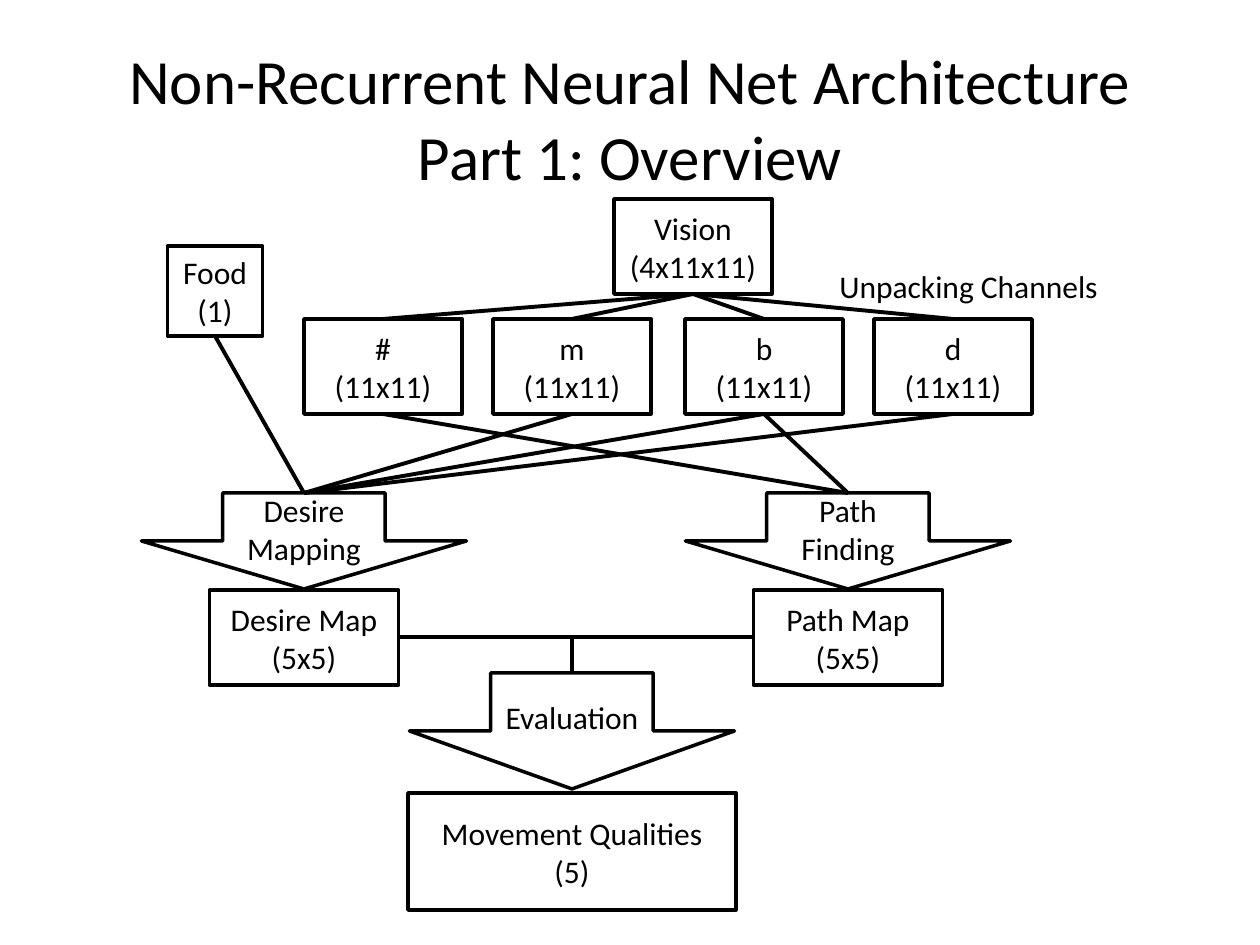
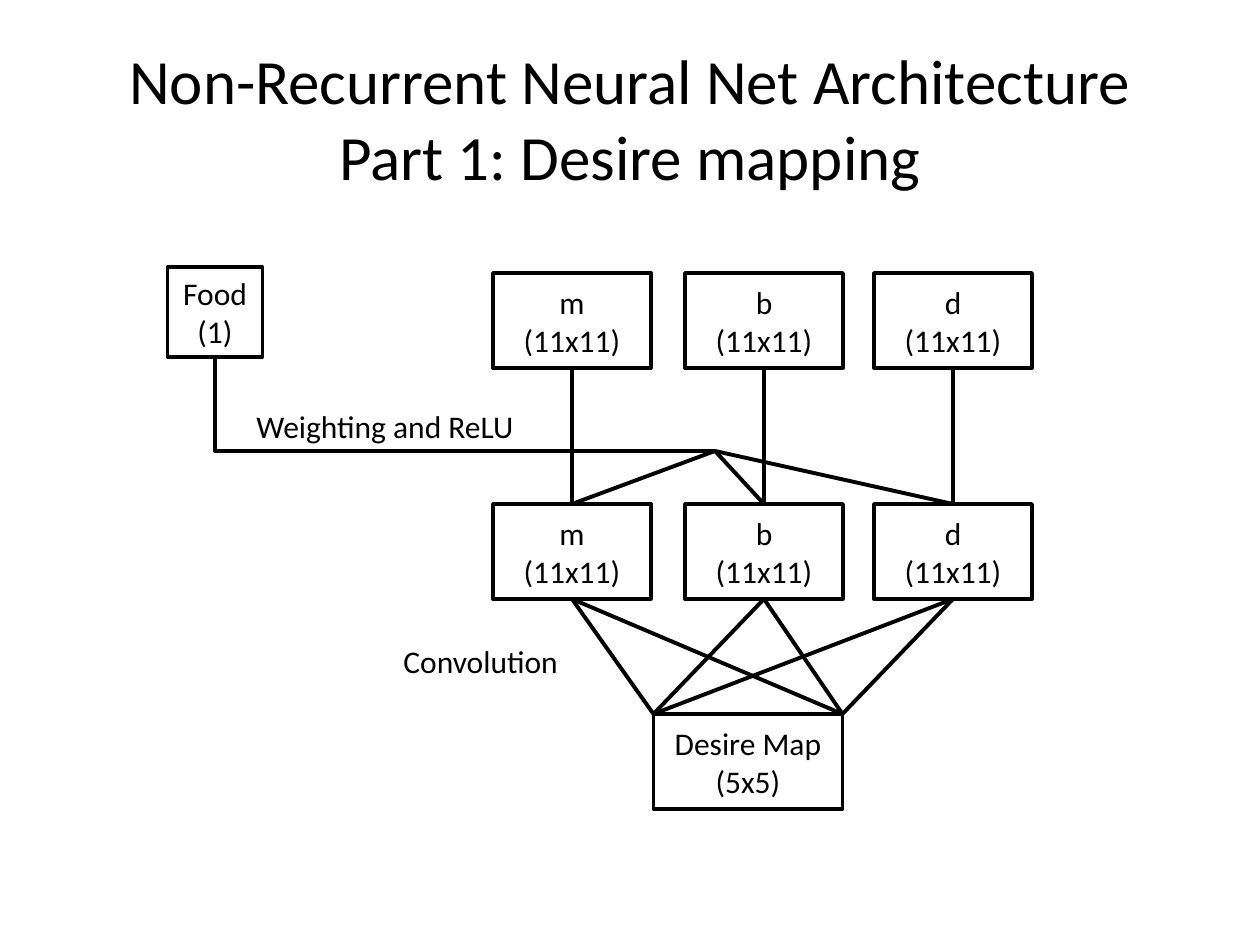
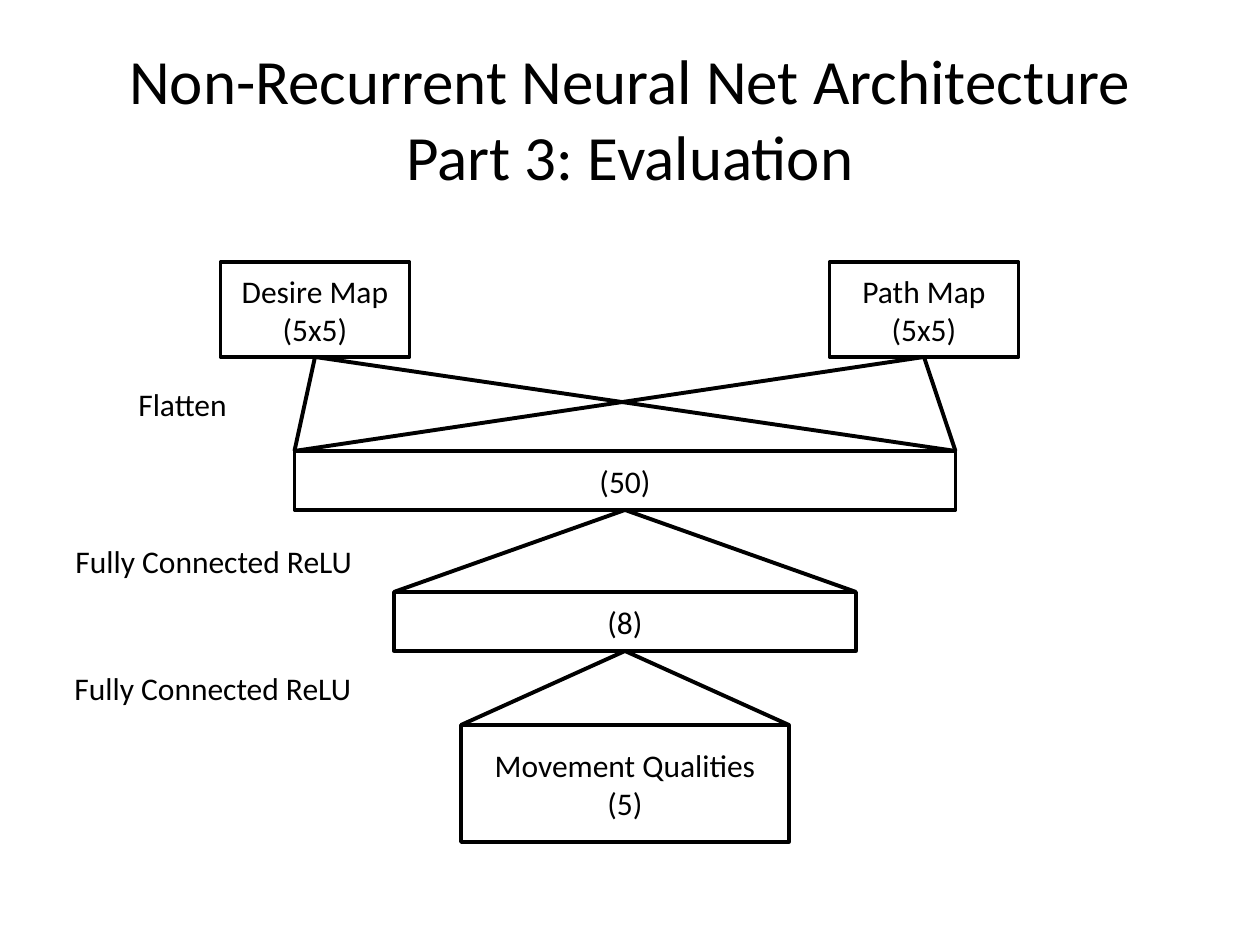
import pptx
import pptx.util
import pptx.dml.color
import pptx.enum.shapes
import pptx.enum.text
import pptx.oxml

SCALE = 914400 / 126  # EMU per pixel
FONT = "Calibri"
COLORS = {"ink": "000000", "paper": "FFFFFF"}
TITLE_BOX = (63, 38, 1134, 158)
TITLE_START = "Non-Recurrent Neural Net Architecture"
LABEL_HEIGHT = 50

# Node styles: shape, width, height
RECTANGLE = pptx.enum.shapes.MSO_SHAPE.RECTANGLE
ARROW = pptx.enum.shapes.MSO_SHAPE.DOWN_ARROW
STYLES = {
    "food": (RECTANGLE, 95, 90),
    "channel": (RECTANGLE, 158, 95),
    "map": (RECTANGLE, 189, 95),
    "moves": (RECTANGLE, 328, 117),
    "step": (ARROW, 325, 96),
    "final step": (ARROW, 325, 116),
    "wide layer": (RECTANGLE, 661, 59),
    "layer": (RECTANGLE, 462, 59),
}

FOOD = ["Food", "(1)"]
DESIRE_MAP = ["Desire Map", "(5x5)"]
PATH_MAP = ["Path Map", "(5x5)"]
MOVES = ["Movement Qualities", "(5)"]
CHANNEL_CENTERS = {"#": 383, "m": 572, "b": 764, "d": 953}
BOTH_CORNERS = ["top left", "top right"]
WEIGHT_HUB = (715, 451)


def channels(names, top, prefix=""):
    return {prefix + name: ("channel", CHANNEL_CENTERS[name], top, [name, "(11x11)"])
            for name in names}


# nodes: name -> style, center x, top, lines of text
# fans: one end, then the (node, side) ends it is joined to
# elbows: run sideways from the first end, then up or down to the second
# labels: text, left, top, width
SLIDES = [
    {
        "title": "Part 1: Overview",
        "nodes": {
            "vision": ("channel", 693, 199, ["Vision", "(4x11x11)"]),
            "food": ("food", 215, 246, FOOD),
            **channels("#mbd", 319),
            "desire map": ("map", 304, 590, DESIRE_MAP),
            "desire step": ("step", 304, 493, ["Desire Mapping"]),
            "path step": ("step", 848, 493, ["Path Finding"]),
            "path map": ("map", 848, 590, PATH_MAP),
            "evaluation": ("final step", 572, 673, ["Evaluation"]),
            "moves": ("moves", 572, 793, MOVES),
        },
        "fans": [
            (("vision", "bottom"), [(name, "top") for name in "#mbd"]),
            (("desire step", "top"),
             [(name, "bottom") for name in ("m", "b", "d", "food")]),
            (("path step", "top"), [(name, "bottom") for name in "#b"]),
        ],
        "elbows": [
            (("desire map", "right"), ("evaluation", "top")),
            (("path map", "left"), ("evaluation", "top")),
        ],
        "labels": [("Unpacking Channels", 827, 261, 287)],
    },
    {
        "title": "Part 1: Desire mapping",
        "nodes": {
            "food": ("food", 215, 267, FOOD),
            **channels("mbd", 273),
            **channels("mbd", 504, "weighted "),
            "desire map": ("map", 748, 714, DESIRE_MAP),
        },
        "fans": [
            *[((name, "bottom"), [("weighted " + name, "top")]) for name in "mbd"],
            (WEIGHT_HUB, [("weighted " + name, "top") for name in "mbd"]),
            *[(("weighted " + name, "bottom"),
               [("desire map", corner) for corner in BOTH_CORNERS]) for name in "mbd"],
        ],
        "elbows": [(WEIGHT_HUB, ("food", "bottom"))],
        "labels": [("Weighting and ReLU", 244, 401, 296), ("Convolution", 391, 636, 181)],
    },
    {
        "title": "Part 3: Evaluation",
        "nodes": {
            "desire map": ("map", 315, 262, DESIRE_MAP),
            "path map": ("map", 924, 262, PATH_MAP),
            "moves": ("moves", 625, 725, MOVES),
            "flat": ("wide layer", 625, 451, ["(50)"]),
            "hidden": ("layer", 625, 592, ["(8)"]),
        },
        "fans": [
            ((upper, "bottom"), [(lower, corner) for corner in BOTH_CORNERS])
            for upper, lower in [("desire map", "flat"), ("path map", "flat"),
                                 ("flat", "hidden"), ("hidden", "moves")]
        ],
        "elbows": [],
        "labels": [("Flatten", 126, 379, 116), ("Fully Connected ReLU", 63, 536, 306),
                   ("Fully Connected ReLU", 62, 663, 306)],
    },
]


def emu(*pixels):
    return [pptx.util.Emu(round(value * SCALE)) for value in pixels]


def color(name):
    return pptx.dml.color.RGBColor.from_string(COLORS[name])


def write(shape, lines, size=18, centered=True):
    """One paragraph per line, anchored in the middle."""
    frame = shape.text_frame
    frame.vertical_anchor = pptx.enum.text.MSO_ANCHOR.MIDDLE
    alignment = pptx.enum.text.PP_ALIGN
    for index, line in enumerate(lines):
        paragraph = frame.add_paragraph() if index else frame.paragraphs[0]
        paragraph.alignment = alignment.CENTER if centered else alignment.LEFT
        for part_index, part in enumerate(line.split("\n")):
            if part_index:
                paragraph.add_line_break()
            run = paragraph.add_run()
            run.text = part
            run.font.size = pptx.util.Pt(size)
            run.font.name = FONT
            run.font.color.rgb = color("ink")


def add_node(slide, style, center, top, lines):
    kind, width, height = STYLES[style]
    shape = slide.shapes.add_shape(kind, *emu(center - width / 2, top, width, height))
    shape.shadow.inherit = False
    shape.fill.solid()
    shape.fill.fore_color.rgb = color("paper")
    shape.line.color.rgb = color("ink")
    shape.line.width = pptx.util.Pt(2)
    write(shape, lines)


def locate(nodes, end):
    """Point of a (node, side) end; a plain point is returned as it is."""
    if end[0] not in nodes:
        return end
    name, side = end
    style, center, top, _ = nodes[name]
    _, width, height = STYLES[style]
    x = center + width / 2 * (("right" in side) - ("left" in side))
    y = top + height / 2 * (1 + ("bottom" in side) - ("top" in side))
    return x, y


def add_link(slide, start, finish, elbow=False):
    kinds = pptx.enum.shapes.MSO_CONNECTOR
    connector = slide.shapes.add_connector(
        kinds.ELBOW if elbow else kinds.STRAIGHT, *emu(*start, *finish))
    connector.line.color.rgb = color("ink")
    connector.line.width = pptx.util.Pt(2.25)
    properties = connector._element.spPr
    pptx.oxml.ns.qn("a:effectLst")
    properties.append(pptx.oxml.xmlchemy.OxmlElement("a:effectLst"))
    if elbow:  # a single bend
        properties.find(pptx.oxml.ns.qn("a:prstGeom")).set("prst", "bentConnector2")


presentation = pptx.Presentation()
presentation.slide_width, presentation.slide_height = emu(1260, 945)

for content in SLIDES:
    slide = presentation.slides.add_slide(presentation.slide_layouts[6])
    # Title
    title = slide.shapes.add_textbox(*emu(*TITLE_BOX))
    title.text_frame.word_wrap = True
    write(title, [TITLE_START + "\n" + content["title"]], size=36)
    # Boxes and block arrows
    nodes = content["nodes"]
    for node in nodes.values():
        add_node(slide, *node)
    # Lines
    for hub, ends in content["fans"]:
        for end in ends:
            add_link(slide, locate(nodes, hub), locate(nodes, end))
    for start, finish in content["elbows"]:
        add_link(slide, locate(nodes, start), locate(nodes, finish), elbow=True)
    # Labels
    for text, left, top, width in content["labels"]:
        label = slide.shapes.add_textbox(*emu(left, top, width, LABEL_HEIGHT))
        label.text_frame.word_wrap = False
        write(label, [text], centered=False)

presentation.save("out.pptx")
